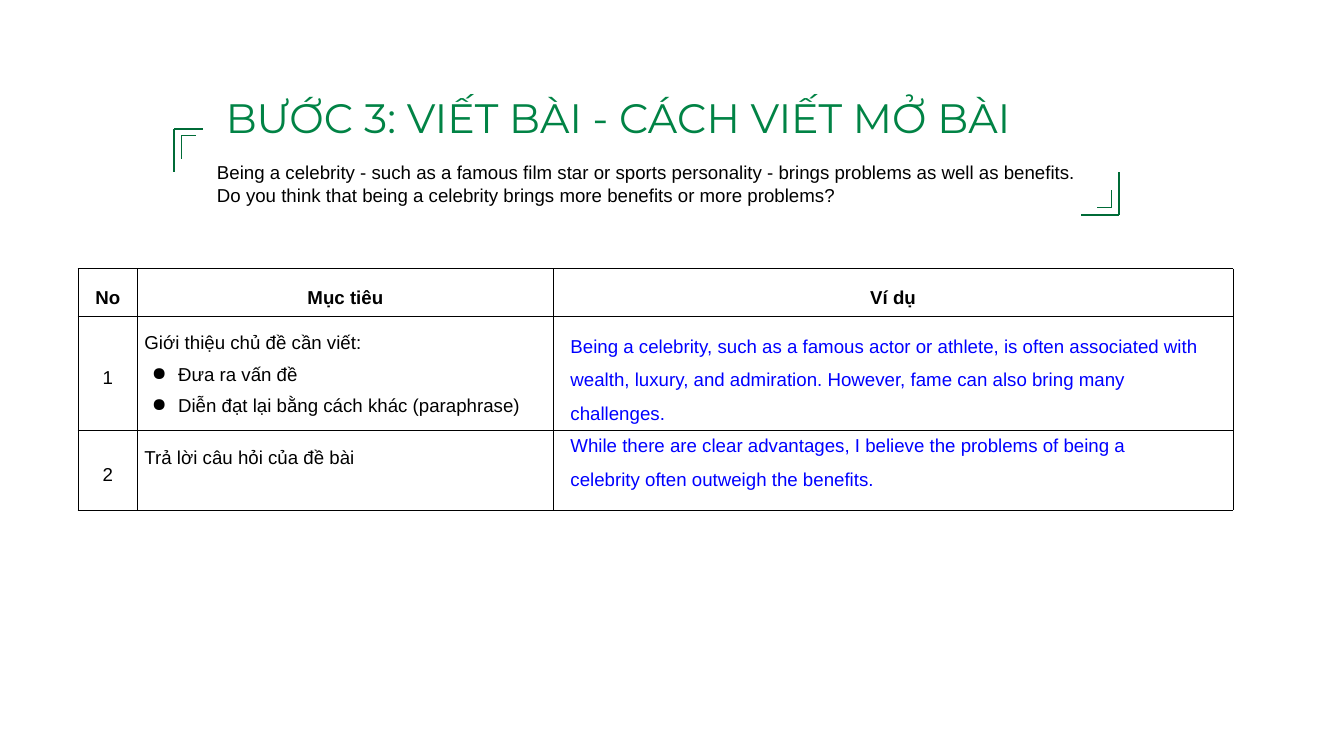
from lxml import etree
from pptx import Presentation
from pptx.dml.color import RGBColor
from pptx.enum.shapes import MSO_CONNECTOR as Connector
from pptx.enum.text import MSO_ANCHOR as Anchor, MSO_AUTO_SIZE as AutoSize, PP_ALIGN as Align
from pptx.oxml.ns import qn
from pptx.util import Inches, Pt

BLACK = RGBColor(0x00, 0x00, 0x00)
BLUE = RGBColor(0x00, 0x00, 0xFF)
GREEN = RGBColor(0x01, 0x83, 0x45)
DARK_GREEN = RGBColor(0x00, 0x6B, 0x37)
MARGIN = 0.1

TITLE = "BƯỚC 3: VIẾT BÀI - CÁCH VIẾT MỞ BÀI"
QUESTION = [
    "Being a celebrity - such as a famous film star or sports personality - brings problems as well as benefits.",
    "Do you think that being a celebrity brings more benefits or more problems?",
]
HEADERS = ["No", "Mục tiêu", "Ví dụ"]
GOALS = [
    ["Giới thiệu chủ đề cần viết:", "Đưa ra vấn đề", "Diễn đạt lại bằng cách khác (paraphrase)"],
    ["Trả lời câu hỏi của đề bài"],
]
EXAMPLES = [
    "Being a celebrity, such as a famous actor or athlete, is often associated with wealth, luxury, "
    "and admiration. However, fame can also bring many challenges.",
    "While there are clear advantages, I believe the problems of being a celebrity often outweigh the benefits.",
]
COLUMN_WIDTHS = [0.89, 6.18, 10.12]
ROW_HEIGHTS = [0.7, 1.7, 1.19]


def format_para(para, color=BLACK, size=20, name="Arial", bold=False, spacing=1.5, align=Align.LEFT):
    para.alignment = align
    para.line_spacing = spacing
    font = para.font
    font.name, font.size, font.bold = name, Pt(size), bold
    font.color.rgb = color


def set_margins(frame, margin):
    frame.margin_left = frame.margin_right = Inches(margin)
    frame.margin_top = frame.margin_bottom = Inches(margin)


def place_title(page, left, top, width, height):
    title = page.shapes.title
    title.left, title.top, title.width, title.height = map(Inches, (left, top, width, height))
    frame = title.text_frame
    frame.text = TITLE
    frame.auto_size = AutoSize.NONE
    frame.vertical_anchor = Anchor.TOP
    frame.word_wrap = True
    set_margins(frame, 0)
    format_para(frame.paragraphs[0], GREEN, 44, "Montserrat", spacing=1.62)


def add_text(page, left, top, width, height, texts, color, spacings, anchor=Anchor.TOP):
    box = page.shapes.add_textbox(*map(Inches, (left, top, width, height)))
    frame = box.text_frame
    frame.word_wrap = True
    frame.vertical_anchor = anchor
    set_margins(frame, MARGIN)
    frame.text = "\n".join(texts)
    for para, spacing in zip(frame.paragraphs, spacings):
        format_para(para, color, spacing=spacing)


def add_corner(page, x, y, across, down):
    group = page.shapes.add_group_shape()
    for end_x, end_y in ((x, y + down), (x + across, y)):
        line = group.shapes.add_connector(Connector.STRAIGHT, *map(Inches, (x, y, end_x, end_y)))
        line.line.color.rgb = DARK_GREEN
        line.line.width = Pt(1.5)
        etree.SubElement(line._element.spPr, qn("a:effectLst"))


def add_bullet(para):
    properties = para._p.get_or_add_pPr()
    properties.set("marL", str(Inches(0.5)))
    properties.set("indent", str(Inches(-0.39)))
    color = etree.SubElement(properties, qn("a:buClr"))
    etree.SubElement(color, qn("a:srgbClr"), val=str(BLACK))
    etree.SubElement(properties, qn("a:buChar"), char="●")


def add_borders(cell):
    properties = cell._tc.get_or_add_tcPr()
    for index, side in enumerate(("lnL", "lnR", "lnT", "lnB")):
        border = etree.Element(qn(f"a:{side}"), w=str(Pt(0.75)))
        fill = etree.SubElement(border, qn("a:solidFill"))
        etree.SubElement(fill, qn("a:srgbClr"), val=str(BLACK))
        properties.insert(index, border)


def fill_cell(cell, texts, centred, bold):
    cell.fill.background()
    add_borders(cell)
    set_margins(cell, MARGIN)
    cell.vertical_anchor = Anchor.MIDDLE if centred else Anchor.TOP
    cell.text_frame.text = "\n".join(texts)
    for index, para in enumerate(cell.text_frame.paragraphs):
        if index:
            add_bullet(para)
        format_para(para, bold=bold, align=Align.CENTER if centred else Align.LEFT)


def add_goal_table(page, left, top):
    size = sum(COLUMN_WIDTHS), sum(ROW_HEIGHTS)
    table = page.shapes.add_table(
        len(ROW_HEIGHTS), len(COLUMN_WIDTHS), *map(Inches, (left, top, *size))
    ).table
    table.first_row = table.horz_banding = False
    for column, width in zip(table.columns, COLUMN_WIDTHS):
        column.width = Inches(width)
    for row, height in zip(table.rows, ROW_HEIGHTS):
        row.height = Inches(height)
    rows = [[[header] for header in HEADERS]]
    rows += [[[str(number)], goal, []] for number, goal in enumerate(GOALS, 1)]
    for r, row in enumerate(rows):
        for c, texts in enumerate(row):
            fill_cell(table.cell(r, c), texts, centred=r == 0 or c == 0, bold=r == 0)


def main():
    deck = Presentation()
    deck.slide_width, deck.slide_height = Inches(20), Inches(11.25)
    page = deck.slides.add_slide(deck.slide_layouts[5])
    add_text(page, 3.13, 2.09, 13.18, 1.12, QUESTION, BLACK, (1.5, 1), Anchor.MIDDLE)
    add_corner(page, 2.59, 1.92, 0.43, 0.64)
    add_corner(page, 2.7, 2.02, 0.22, 0.35)
    add_corner(page, 16.65, 3.2, -0.56, -0.64)
    add_corner(page, 16.54, 3.09, -0.21, -0.26)
    place_title(page, 3.36, 0.92, 12.39, 0.74)
    add_goal_table(page, 1.16, 4)
    for top, example in zip((4.71, 6.19), EXAMPLES):
        add_text(page, 8.39, top, 9.55, 0.31, [example], BLUE, [1.5])
    deck.save("out.pptx")


if __name__ == "__main__":
    main()
